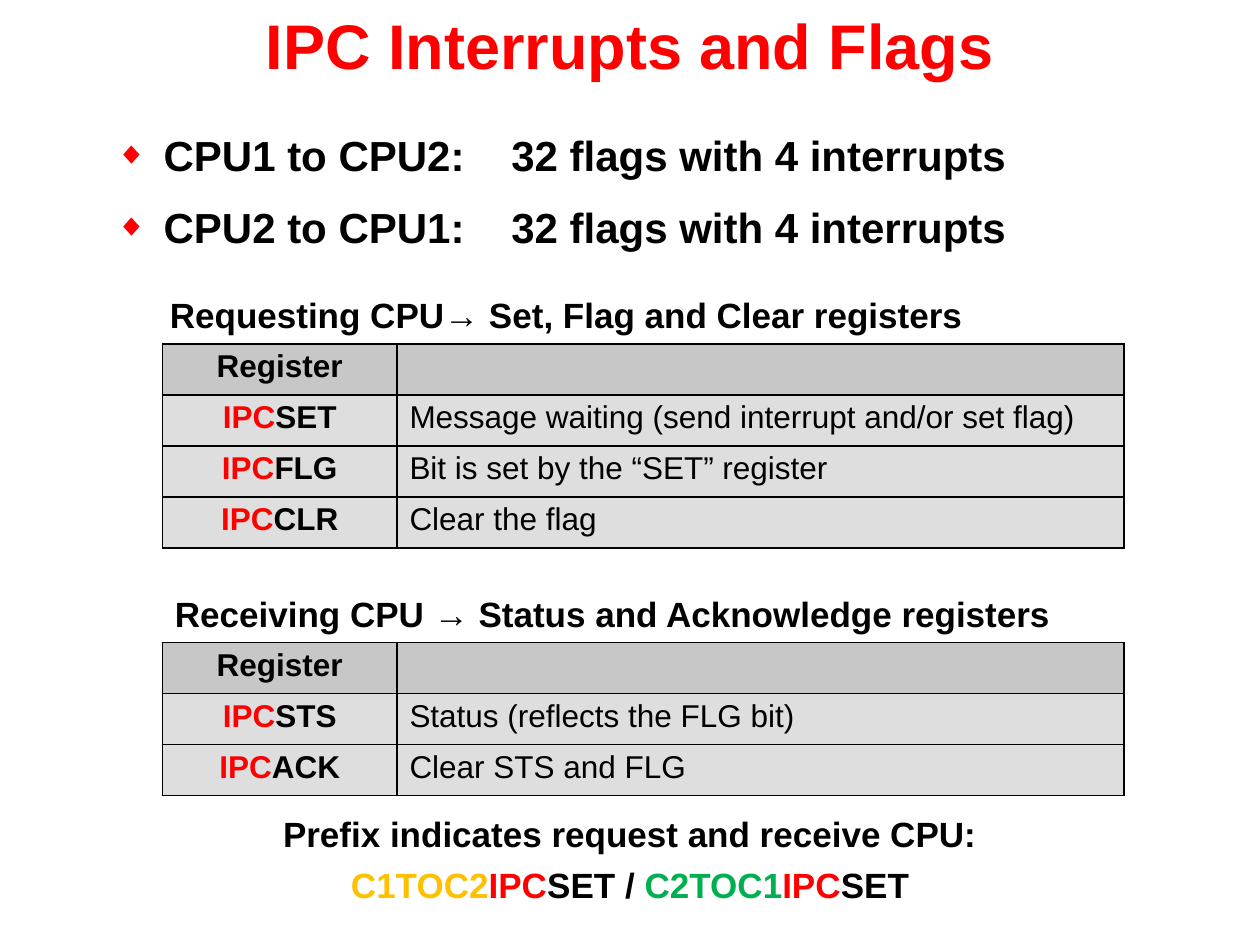
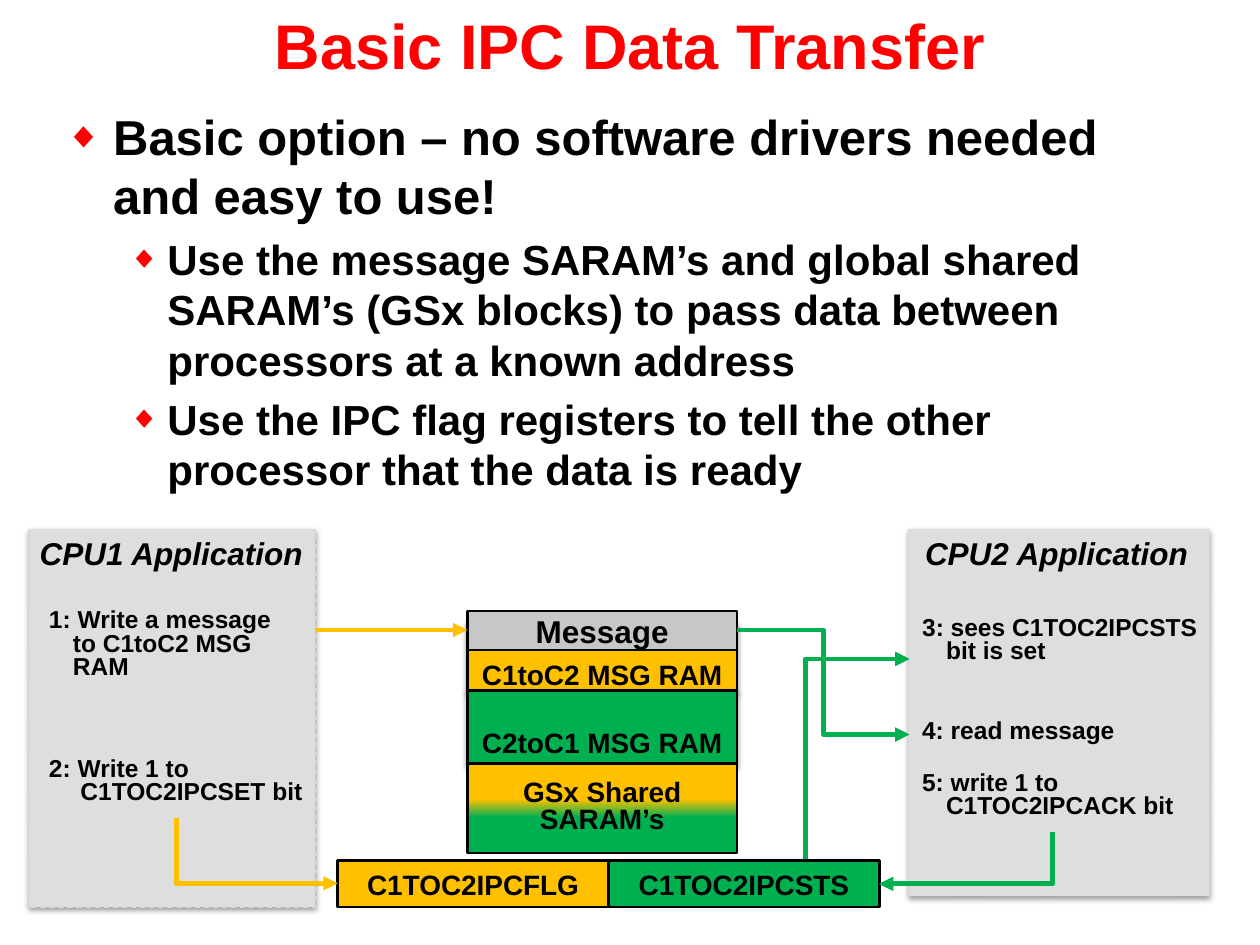
from lxml.etree import SubElement as Sub
from pptx import Presentation
from pptx.dml.color import RGBColor as RGB
from pptx.enum.dml import MSO_LINE as Dash
from pptx.enum.shapes import MSO_CONNECTOR as Link, MSO_SHAPE as Shape
from pptx.enum.text import MSO_ANCHOR as Anchor, PP_ALIGN as Align
from pptx.oxml.ns import qn
from pptx.util import Inches, Pt

INK = {
    "red": "FF0000", "black": "000000", "gold": "FFC000", "green": "00B050",
    "head": "C7C7C7", "pale": "DEDEDE", "edge": "D9D9D9", "white": "FFFFFF",
}
FACE = "Arial"
LEFT, MID = Align.LEFT, Align.CENTER
TIGHT = 0.8


def rgb(name):
    return RGB.from_string(INK[name])


def tag(parent, name, **attrs):
    return Sub(parent, qn(name), {key: str(val) for key, val in attrs.items()})


def tint(parent, name):
    return tag(parent, "a:srgbClr", val=INK[name])


def dent(par, left, hang):
    props = par._p.get_or_add_pPr()
    props.set("marL", str(Inches(left)))
    props.set("indent", str(Inches(-hang)))
    return props


def bullet(par, left, hang):
    props = dent(par, left, hang)
    tint(tag(props, "a:buClr"), "red")
    tag(props, "a:buSzPct", val=75000)
    tag(props, "a:buFont", typeface=FACE)
    tag(props, "a:buChar", char="◆")


def write(par, parts, size, align=LEFT, bold=True, italic=False,
          color="black", lead=None, gap=0):
    par.alignment = align
    par.space_before = Pt(gap)
    if lead:
        par.line_spacing = lead
    font = par.font
    font.name, font.size, font.bold, font.italic = FACE, Pt(size), bold, italic
    if isinstance(parts, str):
        font.color.rgb = rgb(color)
        parts = [(parts, None)]
    for text, hue in parts:
        run = par.add_run()
        run.text = text
        if hue:
            run.font.color.rgb = rgb(hue)


def title(deck, text):
    slide = deck.slides.add_slide(deck.slide_layouts[5])
    slide.background.fill.solid()
    slide.background.fill.fore_color.rgb = rgb("white")
    head = slide.shapes.title
    head.left, head.top = 0, 0
    head.width, head.height = Inches(10), Inches(0.81)
    head.text_frame.vertical_anchor = Anchor.TOP
    write(head.text_frame.paragraphs[0], text, 36, MID, color="red")
    return slide


def frame(slide, box):
    area = slide.shapes.add_textbox(*map(Inches, box)).text_frame
    area.word_wrap = True
    return area


def label(slide, box, parts, size, hang=0, **style):
    par = frame(slide, box).paragraphs[0]
    if hang:
        dent(par, hang, hang)
    write(par, parts, size, **style)


def rows(area, count):
    return [area.paragraphs[0]] + [area.add_paragraph() for _ in range(count - 1)]


def grid(slide, top, data):
    high = 0.405
    table = slide.shapes.add_table(
        len(data) + 1, 2, Inches(1.29), Inches(top),
        Inches(7.63), Inches(high * (len(data) + 1))).table
    table.first_row = table.horz_banding = False
    for col, wide in zip(table.columns, (1.86, 5.77)):
        col.width = Inches(wide)
    for cell in table.iter_cells():
        props = cell._tc.get_or_add_tcPr()
        for side in "LRTB":
            edge = tag(props, f"a:ln{side}", w=Pt(1))
            tint(tag(edge, "a:solidFill"), "black")
        cell.vertical_anchor = Anchor.MIDDLE
        cell.fill.solid()
        cell.fill.fore_color.rgb = rgb("pale")
    for cell in table.rows[0].cells:
        cell.fill.fore_color.rgb = rgb("head")
    style = {"size": 18, "lead": TIGHT}
    write(table.cell(0, 0).text_frame.paragraphs[0], "Register", align=MID, **style)
    for num, (name, note) in enumerate(data, 1):
        first, last = (table.cell(num, col).text_frame.paragraphs[0] for col in (0, 1))
        write(first, [("IPC", "red"), (name, "black")], align=MID, **style)
        write(last, note, bold=False, **style)


def shade(shape):
    glow = tag(shape._element.spPr.find(qn("a:effectLst")), "a:outerShdw",
               blurRad=40000, dist=20000, dir=5400000, rotWithShape=0)
    tag(tint(glow, "black"), "a:alpha", val=38000)


def blend(shape, stops):
    shape.fill.gradient()
    shape.fill.gradient_angle = 90
    band = shape._element.spPr.find(".//" + qn("a:gsLst"))
    for old in list(band):
        band.remove(old)
    for pos, name in stops:
        tint(tag(band, "a:gs", pos=pos * 1000), name)


def block(slide, box, fill, line="black", width=1.5, shadow=False):
    shape = slide.shapes.add_shape(Shape.RECTANGLE, *map(Inches, box))
    shape.fill.solid()
    shape.fill.fore_color.rgb = rgb(fill)
    shape.line.color.rgb = rgb(line)
    shape.line.width = Pt(width)
    shape.shadow.inherit = False
    if shadow:
        shade(shape)
    return shape


def caption(shape, text, size=16, drop=None, lead=None):
    area = shape.text_frame
    area.word_wrap = True
    area.margin_left = area.margin_right = Inches(0.05)
    area.vertical_anchor = Anchor.MIDDLE
    if drop:
        area.vertical_anchor = Anchor.TOP
        area.margin_top, area.margin_bottom = Inches(drop), 0
    write(area.paragraphs[0], text, size, MID, lead=lead)


def arrow(slide, box, color, form, turn=0, flip=""):
    left, top, wide, high = box
    xs, ys = [left, left + wide], [top, top + high]
    if "h" in flip:
        xs.reverse()
    if "v" in flip:
        ys.reverse()
    kind = Link.STRAIGHT if form == "line" else Link.ELBOW
    line = slide.shapes.add_connector(
        kind, *map(Inches, (xs[0], ys[0], xs[1], ys[1])))
    line.line.color.rgb = rgb(color)
    line.line.width = Pt(2.75)
    props = line._element.spPr
    props.find(qn("a:prstGeom")).set("prst", form)
    if turn:
        props.find(qn("a:xfrm")).set("rot", str(turn * 60000))
    tag(props.find(qn("a:ln")), "a:tailEnd", type="triangle")
    tag(props, "a:effectLst")


def flags(deck):
    slide = title(deck, "IPC Interrupts and Flags")
    pars = rows(frame(slide, (0.82, 0.98, 8.41, 1.03)), 2)
    for num, par in enumerate(pars):
        bullet(par, 0.38, 0.38)
        way = ("CPU1 to CPU2:", "CPU2 to CPU1:")[num]
        write(par, [(way, "black"), (" ", "black"),
                    ("32 flags with 4 interrupts", "black")], 24, gap=12 * num)
        par.runs[1]._r.get_or_add_rPr().set("spc", "2000")

    label(slide, (1.25, 2.28, 7.67, 0.44),
          "Requesting CPU→ Set, Flag and Clear registers", 20, 0.25)
    grid(slide, 2.73, [
        ("SET", "Message waiting (send interrupt and/or set flag)"),
        ("FLG", "Bit is set by the “SET” register"),
        ("CLR", "Clear the flag"),
    ])
    label(slide, (1.29, 4.65, 7.64, 0.44),
          "Receiving CPU → Status and Acknowledge registers", 20, 0.25)
    grid(slide, 5.1, [
        ("STS", "Status (reflects the FLG bit)"),
        ("ACK", "Clear STS and FLG"),
    ])

    note, names = rows(frame(slide, (1.98, 6.46, 6.04, 0.81)), 2)
    write(note, "Prefix indicates request and receive CPU:", 20, MID, lead=TIGHT)
    write(names, [("C1TOC2", "gold"), ("IPC", "red"), ("SET / ", "black"),
                  ("C2TOC1", "green"), ("IPC", "red"), ("SET", "black")],
          20, MID, lead=TIGHT, gap=10)


def transfer(deck):
    slide = title(deck, "Basic IPC Data Transfer")
    points = [
        ("Basic option – no software drivers needed and easy to use!",
         28, 0.38, 0.38, 0),
        ("Use the message SARAM’s and global shared SARAM’s (GSx blocks) "
         "to pass data between processors at a known address", 24, 0.81, 0.31, 5),
        ("Use the IPC flag registers to tell the other processor "
         "that the data is ready", 24, 0.81, 0.31, 5),
    ]
    pars = rows(frame(slide, (0.42, 0.8, 9.18, 3.27)), len(points))
    for par, (text, size, left, hang, gap) in zip(pars, points):
        par.level = int(left > 0.5)
        bullet(par, left, hang)
        write(par, text, size, gap=gap)

    for box in ((7.21, 4.2, 2.39, 2.91), (0.23, 4.2, 2.27, 3)):
        panel = block(slide, box, "pale", "edge", 0.75, True)
        panel.line.dash_style = Dash.DASH

    x, wide = 3.71, 2.14
    for text, top, high, fill in (("C1toC2 MSG RAM", 4.94, 0.55, "gold"),
                                  ("C2toC1 MSG RAM", 5.48, 0.59, "green")):
        caption(block(slide, (x, top, wide, high), fill, shadow=True),
                text, drop=0.33, lead=TIGHT)
    shared = block(slide, (x, 6.06, wide, 0.71), "green")
    blend(shared, [(0, "green"), (40, "green"), (60, "gold"), (100, "gold")])
    caption(shared, "GSx Shared SARAM’s", lead=TIGHT)
    caption(block(slide, (x, 4.85, wide, 0.31), "head"), "Message", 18)
    for text, left, fill in (("C1TOC2IPCFLG", 2.68, "gold"),
                             ("C1TOC2IPCSTS", 4.83, "green")):
        caption(block(slide, (left, 6.83, 2.15, 0.37), fill), text)

    for text, left, span in (("CPU1 Application", 0.18, 2.36),
                             ("CPU2 Application", 7.24, 2.29)):
        label(slide, (left, 4.25, span, 0.34), text, 18,
              align=MID, italic=True, lead=TIGHT)

    steps = [
        ("1: Write a message to C1toC2 MSG RAM", (0.29, 4.79, 2.19, 0.52), 0.19),
        ("2: Write 1 to C1TOC2IPCSET bit", (0.29, 5.97, 2.22, 0.52), 0.25),
        ("3: sees C1TOC2IPCSTS bit is set", (7.22, 4.85, 2.42, 0.76), 0.19),
        ("4: read message", (7.22, 5.67, 2.26, 0.33), 0),
        ("5: write 1 to C1TOC2IPCACK bit", (7.22, 6.08, 2.27, 0.52), 0.19),
    ]
    for text, box, hang in steps:
        label(slide, box, text, 14, hang, lead=TIGHT)

    arrow(slide, (2.5, 5, 1.21, 0), "gold", "line")
    arrow(slide, (1.78, 6.11, 0.52, 1.28), "gold", "bentConnector2", 270, "h")
    arrow(slide, (6.01, 5.61, 1.59, 0.83), "green", "bentConnector2", 90, "hv")
    arrow(slide, (5.85, 5, 1.37, 0.83), "green", "bentConnector3")
    arrow(slide, (7.46, 6.12, 0.41, 1.38), "green", "bentConnector2", 90)


def main():
    deck = Presentation()
    deck.slide_width, deck.slide_height = Inches(10), Inches(7.5)
    flags(deck)
    transfer(deck)
    deck.save("out.pptx")


if __name__ == "__main__":
    main()
